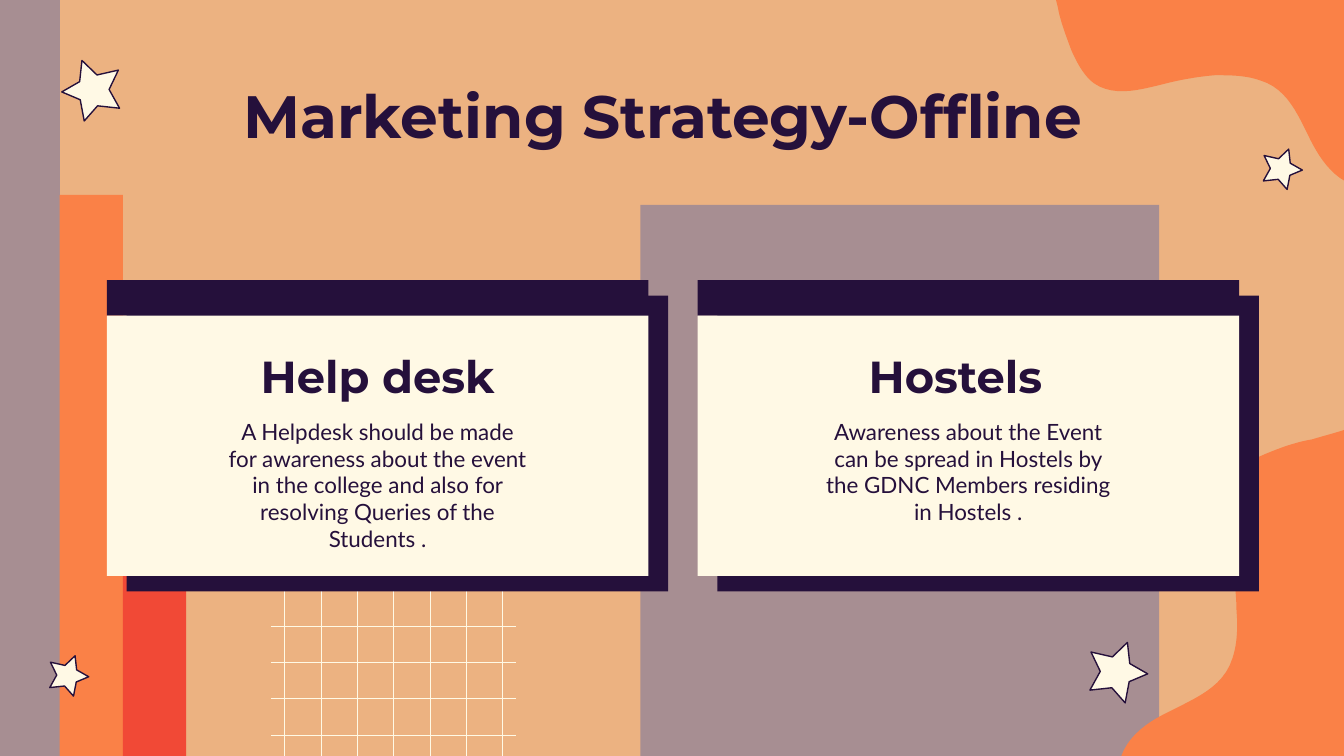
from lxml import etree
from pptx import Presentation
from pptx.dml.color import RGBColor
from pptx.enum.shapes import MSO_CONNECTOR, MSO_SHAPE
from pptx.enum.text import MSO_ANCHOR, PP_ALIGN
from pptx.oxml.ns import qn
from pptx.util import Inches, Pt

RECTANGLE = MSO_SHAPE.RECTANGLE
STRAIGHT = MSO_CONNECTOR.STRAIGHT
TOP, BOTTOM = MSO_ANCHOR.TOP, MSO_ANCHOR.BOTTOM
CENTER = PP_ALIGN.CENTER

COLORS = {
    "sand": "ECB281",
    "mauve": "A78E92",
    "orange": "FA8147",
    "red": "F14936",
    "cream": "FFF9E5",
    "ink": "25103B",
}
COLUMNS, ROWS = 100, 56.25
CELL = Inches(10) // COLUMNS
BEZIER_STEPS = 12

BANDS = [
    ("mauve", -0.3, 0, 4.75),
    ("orange", 4.45, 14.5, 4.7),
    ("red", 9.15, 34.9, 4.7),
    ("mauve", 47.65, 15.25, 38.6),
]
STAR_OUTLINE = [
    (0.65, 0), (0.69, 0.35), (1, 0.52), (0.68, 0.65), (0.61, 1),
    (0.38, 0.75), (0, 0.79), (0.18, 0.48), (0.02, 0.16), (0.39, 0.24),
]
STARS = [
    ((3.7, 48.8, 2.9, 3), False),
    ((4.6, 4.5, 4.3, 4.5), True),
    ((81.1, 47.8, 4.3, 4.5), False),
    ((94, 11.1, 2.9, 3), False),
]
LOWER_BLOB = ((83.2, 57.3), [
    ((83.4, 55.1), (85.2, 53.8), (86.9, 53)),
    ((88.8, 52), (91, 51.2), (91.7, 49)),
    ((92.1, 47.8), (92.1, 46.5), (92, 45.3)),
    ((92, 44), (91.8, 42.7), (91.4, 41.4)),
    ((91, 39.6), (90.3, 37.3), (91.5, 35.6)),
    ((92.1, 34.7), (93.2, 34.2), (94.1, 33.8)),
    ((95.3, 33.3), (96.4, 32.9), (97.6, 32.7)),
    ((98.9, 32.3), (100.3, 32), (101.5, 31.4)),
], [(101.5, 57.3)])
UPPER_BLOB = ((101.4, 13.9), [
    ((99.5, 13.7), (98.3, 12), (97.5, 10.4)),
    ((96.6, 8.6), (95.8, 6.6), (93.8, 6)),
    ((92.7, 5.6), (91.6, 5.6), (90.4, 5.6)),
    ((89.2, 5.7), (88, 5.9), (86.8, 6.2)),
    ((85.1, 6.6), (83, 7.3), (81.4, 6.2)),
    ((80.6, 5.6), (80.1, 4.6), (79.7, 3.7)),
    ((79.3, 2.6), (78.9, 1.6), (78.7, 0.5)),
    ((78.4, -0.7), (78.1, -2), (77.6, -3.2)),
], [(101.5, -3.2)])
CARDS = [
    ("Hostels", "Awareness about the Event can be spread in Hostels by "
     "the GDNC Members residing in Hostels .", 51.9, 1.9),
    ("Help desk", "A Helpdesk should be made for awareness about the event in "
     "the college and also for resolving Queries of the Students .", 7.95, 0),
]


def grid(value):
    return round(value * CELL)


def rgb(color):
    return RGBColor.from_string(COLORS[color])


def within(box, left, top, width, height):
    x, y, w, h = box
    return x + left * w, y + top * h, width * w, height * h


def paint(shape, color, outline=None):
    shape.shadow.inherit = False
    shape.fill.solid()
    shape.fill.fore_color.rgb = rgb(color)
    if outline:
        shape.line.color.rgb = rgb(outline)
        shape.line.width = Pt(0.75)
    else:
        shape.line.fill.background()


def add_block(slide, box, color):
    block = slide.shapes.add_shape(RECTANGLE, *map(grid, box))
    paint(block, color)
    return block


def add_outline(slide, points, color, outline=None):
    corners = [(grid(x), grid(y)) for x, y in points]
    builder = slide.shapes.build_freeform(*corners[0])
    builder.add_line_segments(corners[1:], close=True)
    paint(builder.convert_to_shape(), color, outline)


def add_line(slide, *ends):
    line = slide.shapes.add_connector(STRAIGHT, *map(grid, ends))
    line.line.color.rgb = rgb("cream")
    line.line.width = Pt(0.5)
    etree.SubElement(line._element.spPr, qn("a:effectLst"))


def add_text(slide, box, text, font, size, bold=False, anchor=TOP, extra_right=0):
    frame = slide.shapes.add_textbox(*map(grid, box)).text_frame
    frame.word_wrap = True
    frame.vertical_anchor = anchor
    frame.margin_left = frame.margin_top = frame.margin_bottom = grid(1)
    frame.margin_right = grid(1 + extra_right)
    frame.text = text
    paragraph = frame.paragraphs[0]
    paragraph.alignment = CENTER
    for run in paragraph.runs:
        run.font.name = font
        run.font.size = Pt(size)
        run.font.bold = bold
        run.font.color.rgb = rgb("ink")


def cast_shadow(block):
    effects = block._element.spPr.find(qn("a:effectLst"))
    shadow = etree.SubElement(effects, qn("a:outerShdw"), dist=str(Pt(13.5)),
                              dir=str(38 * 60000), algn="bl", rotWithShape="0")
    etree.SubElement(shadow, qn("a:srgbClr"), val=COLORS["ink"])


def add_mesh(slide, box, step):
    left, top, width, height = box
    for i in range(7):
        x = left + 1.05 + i * step
        add_line(slide, x, top, x, top + height)
    for i in range(5):
        y = top + 1.05 + i * step
        add_line(slide, left, y, left + width, y)


def add_blob(slide, start, curves, corners):
    points = [start]
    for first, second, end in curves:
        origin = points[-1]
        for step in range(1, BEZIER_STEPS + 1):
            t = step / BEZIER_STEPS
            u = 1 - t
            points.append(tuple(
                u**3 * a + 3 * u * u * t * b + 3 * u * t * t * c + t**3 * d
                for a, b, c, d in zip(origin, first, second, end)))
    add_outline(slide, points + corners, "orange")


def add_star(slide, box, mirrored):
    points = [within(box, 1 - x if mirrored else x, y, 0, 0)[:2]
              for x, y in STAR_OUTLINE]
    add_outline(slide, points, "cream", "ink")


def add_backdrop(slide):
    slide.background.fill.solid()
    slide.background.fill.fore_color.rgb = rgb("sand")
    add_mesh(slide, (20.15, 42.85, 18.25, ROWS - 42.85), 2.7)
    for color, left, top, width in BANDS:
        add_block(slide, (left, top, width, ROWS - top), color)
    for blob in (LOWER_BLOB, UPPER_BLOB):
        add_blob(slide, *blob)
    for box, mirrored in STARS:
        add_star(slide, box, mirrored)


def add_card(slide, box, heading, body, extra_right):
    cast_shadow(add_block(slide, within(box, 0, 0, 1, 0.12), "ink"))
    cast_shadow(add_block(slide, within(box, 0, 0.12, 1, 0.88), "cream"))
    add_text(slide, within(box, 0.2, 0.42, 0.6, 0.49), body, "Lato", 12)
    add_text(slide, within(box, 0.2, 0.21, 0.6, 0.25), heading, "Montserrat", 24,
             True, BOTTOM, extra_right)


def main():
    deck = Presentation()
    deck.slide_width, deck.slide_height = grid(COLUMNS), grid(ROWS)
    slide = deck.slides.add_slide(deck.slide_layouts[6])
    add_backdrop(slide)
    for heading, body, left, extra_right in CARDS:
        add_card(slide, (left, 20.85, 40.3, 22), heading, body, extra_right)
    add_text(slide, (7.9, 4.9, 84.3, 6.3), "Marketing Strategy-Offline",
             "Montserrat", 32, True, extra_right=1.4)
    deck.save("out.pptx")


if __name__ == "__main__":
    main()
